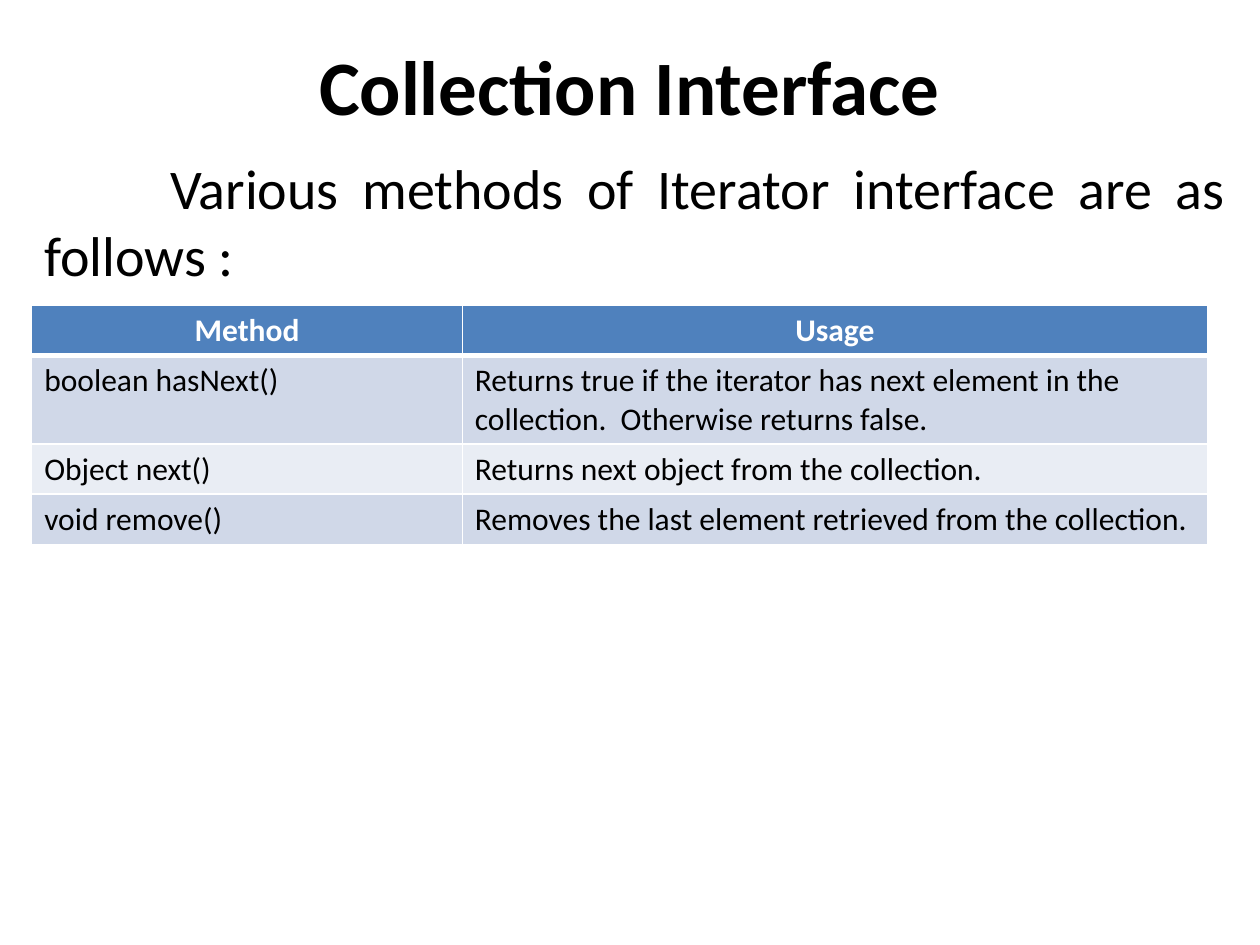
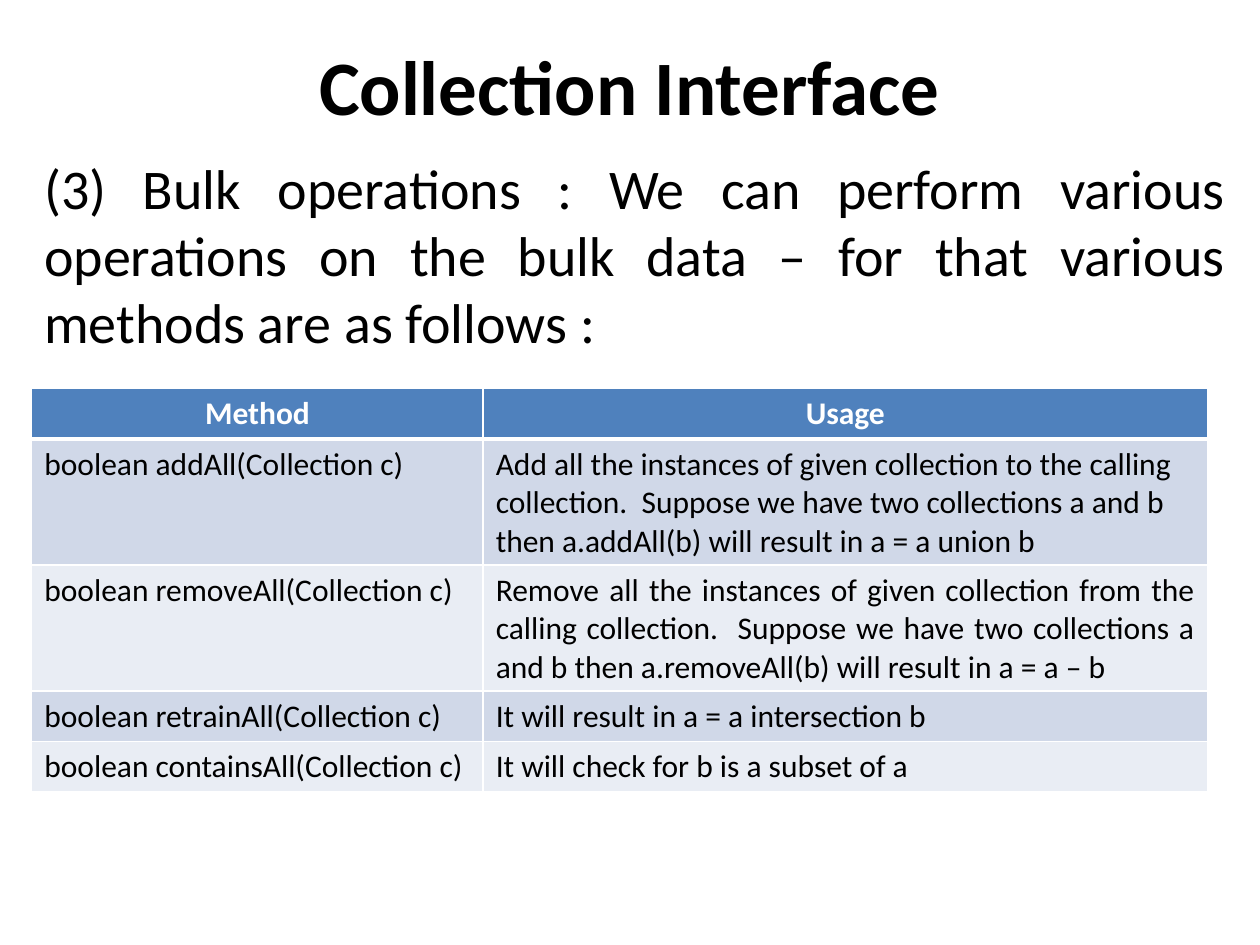
from lxml import etree
from pptx import Presentation
from pptx.dml.color import RGBColor
from pptx.enum.text import MSO_ANCHOR, PP_ALIGN
from pptx.oxml.ns import qn
from pptx.util import Cm, Pt

LEFT, CENTER, JUSTIFY = PP_ALIGN.LEFT, PP_ALIGN.CENTER, PP_ALIGN.JUSTIFY
TOP, MIDDLE = MSO_ANCHOR.TOP, MSO_ANCHOR.MIDDLE

FONT = "Calibri"
BLACK, WHITE, HEADER = "000000", "FFFFFF", "4F81BD"
BANDS = ("D0D8E8", "E9EDF4")
MARGIN, TABLE_WIDTH, ROW_HEIGHT = 0.64, 23.7, 0.89


def rgb(value):
    """Turn a hex string into a colour."""
    return RGBColor.from_string(value)


class Deck:
    """Hold the shared style and the slide being built."""

    def __init__(self):
        """Start an empty deck of 4:3 pages."""
        self.deck = Presentation()
        self.deck.slide_width, self.deck.slide_height = Cm(25.4), Cm(19.05)
        self.page = None

    def add_page(self, title):
        """Open a blank page with the shared title."""
        self.page = self.deck.slides.add_slide(self.deck.slide_layouts[6])
        para = self.add_box(0, 0.43, 25.4, 2.54, MIDDLE)
        self.add_span(para, title, 44, align=CENTER, bold=True)

    def add_box(self, left, top, width, height, anchor=TOP):
        """Add a wrapping text box and return its first paragraph."""
        box = self.page.shapes.add_textbox(Cm(left), Cm(top), Cm(width), Cm(height))
        box.text_frame.word_wrap = True
        box.text_frame.vertical_anchor = anchor
        return box.text_frame.paragraphs[0]

    def add_span(self, para, text, size, color=BLACK, align=LEFT, bold=False):
        """Add one styled run to a paragraph."""
        para.alignment = align
        span = para.add_run()
        span.text = text
        span.font.name, span.font.size, span.font.bold = FONT, Pt(size), bold
        span.font.color.rgb = rgb(color)

    def add_intro(self, text, height, indent=0):
        """Add the justified paragraph under the title."""
        para = self.add_box(MARGIN, 2.97, 24.33, height)
        self.add_span(para, text, 32, align=JUSTIFY)
        para._p.get_or_add_pPr().set("indent", str(Cm(indent)))

    def add_borders(self, cell, widths):
        """Draw white cell borders, given widths by side."""
        properties = cell._tc.get_or_add_tcPr()
        for side, width in widths.items():
            line = etree.SubElement(properties, qn(f"a:ln{side}"), w=str(Pt(width)))
            fill = etree.SubElement(line, qn("a:solidFill"))
            etree.SubElement(fill, qn("a:srgbClr"), val=WHITE)

    def add_methods(self, top, height, method_width, methods, justified=()):
        """Add the table of methods and their usage."""
        rows = [("Method", "Usage"), *methods]
        frame = self.page.shapes.add_table(
            len(rows), 2, Cm(MARGIN), Cm(top), Cm(TABLE_WIDTH), Cm(height))
        table = frame.table
        table.columns[0].width = Cm(method_width)
        table.columns[1].width = Cm(TABLE_WIDTH - method_width)
        for number, texts in enumerate(rows):
            table.rows[number].height = Cm(ROW_HEIGHT)
            header = number == 0
            widths = {"L": 1, "R": 1, "T": 3 if number == 1 else 1, "B": 3 if header else 1}
            for column, text in enumerate(texts):
                cell = table.cell(number, column)
                self.add_borders(cell, widths)
                cell.fill.solid()
                cell.fill.fore_color.rgb = rgb(HEADER if header else BANDS[(number - 1) % 2])
                align = CENTER if header else JUSTIFY if (number, column) in justified else LEFT
                self.add_span(cell.text_frame.paragraphs[0], text, 18,
                              WHITE if header else BLACK, align, header)
        frame.height = Cm(height)


def main():
    """Build and save both pages."""
    deck = Deck()
    title = "Collection Interface"

    deck.add_page(title)
    deck.add_intro("Various methods of Iterator interface are as follows :", 3, indent=2.54)
    deck.add_methods(6.15, 4.83, 8.68, [
        ("boolean hasNext()",
         "Returns true if the iterator has next element in the collection.  "
         "Otherwise returns false."),
        ("Object next()", "Returns next object from the collection."),
        ("void remove()", "Removes the last element retrieved from the collection."),
    ])

    deck.add_page(title)
    deck.add_intro("(3) Bulk operations : We can perform various operations on the bulk data – "
                   "for that various methods are as follows :", 4.37)
    deck.add_methods(7.83, 8.13, 9.1, [
        ("boolean addAll(Collection c)",
         "Add all the instances of given collection to the calling collection.  "
         "Suppose we have two collections a and b then a.addAll(b) will result in a = a union b"),
        ("boolean removeAll(Collection c)",
         "Remove all the instances of given collection from the calling collection.  "
         "Suppose we have two collections a and b then a.removeAll(b) will result in a = a – b"),
        ("boolean retrainAll(Collection c)", "It will result in a = a intersection b"),
        ("boolean containsAll(Collection c)", "It will check for b is a subset of a"),
    ], justified={(2, 1)})

    deck.deck.save("out.pptx")


if __name__ == "__main__":
    main()
